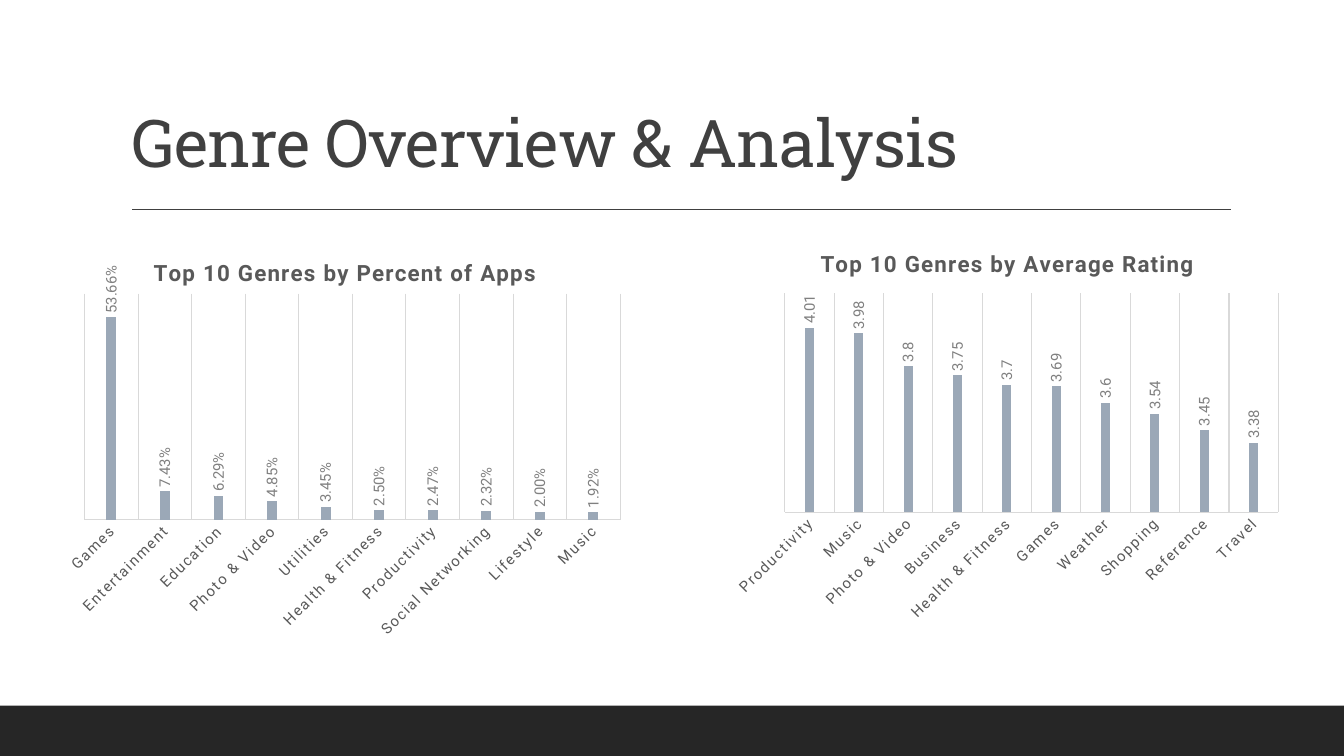
import dataclasses

import lxml.etree
import pptx
import pptx.chart.data
import pptx.dml.color
import pptx.enum.chart
import pptx.enum.shapes
import pptx.enum.text
import pptx.oxml.ns
import pptx.util

Cm = pptx.util.Cm
qn = pptx.oxml.ns.qn


@dataclasses.dataclass(frozen=True)
class Theme:
    heading_font: str = "Roboto Slab"
    body_font: str = "Roboto"
    band: str = "262626"
    heading: str = "404040"
    chart_text: str = "595959"
    value_text: str = "808080"
    grid: str = "D9D9D9"
    bar: str = "9BA8B7"
    heading_size: float = 47
    chart_title_size: float = 16
    chart_label_size: float = 10.6


class SlideBuilder:
    def __init__(self, slide, theme):
        self.slide = slide
        self.theme = theme

    def color(self, value):
        return pptx.dml.color.RGBColor.from_string(value)

    def style_font(self, font, name, size, color, bold=False):
        font.name = name
        font.size = pptx.util.Pt(size)
        font.bold = bold
        font.color.rgb = self.color(color)

    def style_line(self, line, color, width):
        line.color.rgb = self.color(color)
        line.width = pptx.util.Pt(width)

    def set_layout(self, element, index, **fractions):
        for old_layout in element.findall(qn("c:layout")):
            element.remove(old_layout)
        layout = lxml.etree.Element(qn("c:layout"))
        manual = lxml.etree.SubElement(layout, qn("c:manualLayout"))
        settings = {"xMode": "edge", "yMode": "edge", **fractions}
        if "w" in fractions:
            settings = {"layoutTarget": "inner", **settings}
        for tag, value in settings.items():
            lxml.etree.SubElement(manual, qn(f"c:{tag}")).set("val", str(value))
        element.insert(index, layout)

    def rotate_text(self, element, degrees):
        body = element.find(qn("c:txPr")).find(qn("a:bodyPr"))
        body.set("rot", str(degrees * 60000))
        body.set("vert", "horz")

    def title(self, text, left, top, width, height):
        shape = self.slide.shapes.title
        shape.left, shape.top = Cm(left), Cm(top)
        shape.width, shape.height = Cm(width), Cm(height)
        frame = shape.text_frame
        frame.word_wrap = True
        frame.auto_size = pptx.enum.text.MSO_AUTO_SIZE.NONE
        frame.vertical_anchor = pptx.enum.text.MSO_ANCHOR.BOTTOM
        paragraph = frame.paragraphs[0]
        paragraph.alignment = pptx.enum.text.PP_ALIGN.LEFT
        paragraph.line_spacing = 0.9
        run = paragraph.add_run()
        run.text = text
        self.style_font(run.font, self.theme.heading_font,
                        self.theme.heading_size, self.theme.heading)
        run.font._element.set("spc", "-50")

    def band(self, left, top, width, height):
        shape = self.slide.shapes.add_shape(
            pptx.enum.shapes.MSO_SHAPE.RECTANGLE,
            Cm(left), Cm(top), Cm(width), Cm(height))
        shape.shadow.inherit = False
        shape.fill.solid()
        shape.fill.fore_color.rgb = self.color(self.theme.band)
        shape.line.fill.background()

    def rule(self, left, right, top):
        connector = self.slide.shapes.add_connector(
            pptx.enum.shapes.MSO_CONNECTOR.STRAIGHT,
            Cm(left), Cm(top), Cm(right), Cm(top))
        self.style_line(connector.line, self.theme.heading, 1)
        properties = connector._element.find(qn("p:spPr"))
        lxml.etree.SubElement(properties, qn("a:effectLst"))

    def column_chart(self, title, values, number_format, axis_range, box,
                     title_place, plot_place):
        theme = self.theme
        data = pptx.chart.data.CategoryChartData(number_format=number_format)
        data.categories = list(values)
        data.add_series("Series 1", list(values.values()))
        chart = self.slide.shapes.add_chart(
            pptx.enum.chart.XL_CHART_TYPE.COLUMN_CLUSTERED,
            *[Cm(length) for length in box], data).chart
        chart.has_legend = False
        self.style_font(chart.font, theme.body_font, theme.chart_label_size,
                        theme.chart_text)

        run = chart.chart_title.text_frame.paragraphs[0].add_run()
        run.text = title
        self.style_font(run.font, theme.body_font, theme.chart_title_size,
                        theme.chart_text, bold=True)
        run.font._element.set("spc", "100")
        self.set_layout(chart.chart_title._element, 1, **title_place)
        chart.chart_title.include_in_layout = False

        category_axis = chart.category_axis
        category_axis.major_tick_mark = pptx.enum.chart.XL_TICK_MARK.NONE
        category_axis.has_major_gridlines = True
        self.style_line(category_axis.major_gridlines.format.line, theme.grid, 0.75)
        self.style_line(category_axis.format.line, theme.grid, 0.75)
        label_font = category_axis.tick_labels.font
        self.style_font(label_font, theme.body_font, theme.chart_label_size,
                        theme.chart_text)
        label_font._element.set("spc", "120")
        self.rotate_text(category_axis._element, -45)

        value_axis = chart.value_axis
        value_axis.minimum_scale, value_axis.maximum_scale = axis_range
        value_axis.has_major_gridlines = False
        value_axis.visible = False

        plot = chart.plots[0]
        plot.gap_width = 444
        plot.overlap = -90
        plot.vary_by_categories = False
        series = plot.series[0]
        series.format.fill.solid()
        series.format.fill.fore_color.rgb = self.color(theme.bar)
        labels = series.data_labels
        labels.show_value = True
        labels.position = pptx.enum.chart.XL_LABEL_POSITION.OUTSIDE_END
        labels.number_format = number_format
        labels.number_format_is_linked = False
        self.style_font(labels.font, theme.body_font, theme.chart_label_size,
                        theme.value_text)
        self.rotate_text(labels._element, -90)
        plot_area = chart._chartSpace.find(qn("c:chart")).find(qn("c:plotArea"))
        self.set_layout(plot_area, 0, **plot_place)


APP_SHARES = {
    "Games": 0.5366, "Entertainment": 0.0743, "Education": 0.0629,
    "Photo & Video": 0.0485, "Utilities": 0.0345, "Health & Fitness": 0.025,
    "Productivity": 0.0247, "Social Networking": 0.0232, "Lifestyle": 0.02,
    "Music": 0.0192,
}
AVERAGE_RATINGS = {
    "Productivity": 4.01, "Music": 3.98, "Photo & Video": 3.8,
    "Business": 3.75, "Health & Fitness": 3.7, "Games": 3.69,
    "Weather": 3.6, "Shopping": 3.54, "Reference": 3.45, "Travel": 3.38,
}


def main():
    presentation = pptx.Presentation()
    presentation.slide_width = Cm(33.87)
    presentation.slide_height = Cm(19.05)
    title_only = presentation.slide_layouts[5]
    builder = SlideBuilder(presentation.slides.add_slide(title_only), Theme())
    builder.band(0, 17.78, 33.87, 1.27)
    builder.rule(3.33, 31.01, 5.28)
    builder.title("Genre Overview & Analysis", 3.05, 0.79, 27.94, 3.91)
    builder.column_chart(
        "Top 10 Genres by Average Rating", AVERAGE_RATINGS, "General", (3, 4.2),
        (18.11, 5.66, 14.5, 10.64), {"x": 0.17, "y": 0.05},
        {"x": 0.115, "y": 0.163, "w": 0.858, "h": 0.518})
    builder.column_chart(
        "Top 10 Genres by Percent of Apps", APP_SHARES, "0.00%", (0, 0.6),
        (1.45, 5.89, 14.5, 10.41), {"x": 0.16, "y": 0.05},
        {"x": 0.047, "y": 0.145, "w": 0.931, "h": 0.547})
    presentation.save("out.pptx")


if __name__ == "__main__":
    main()
